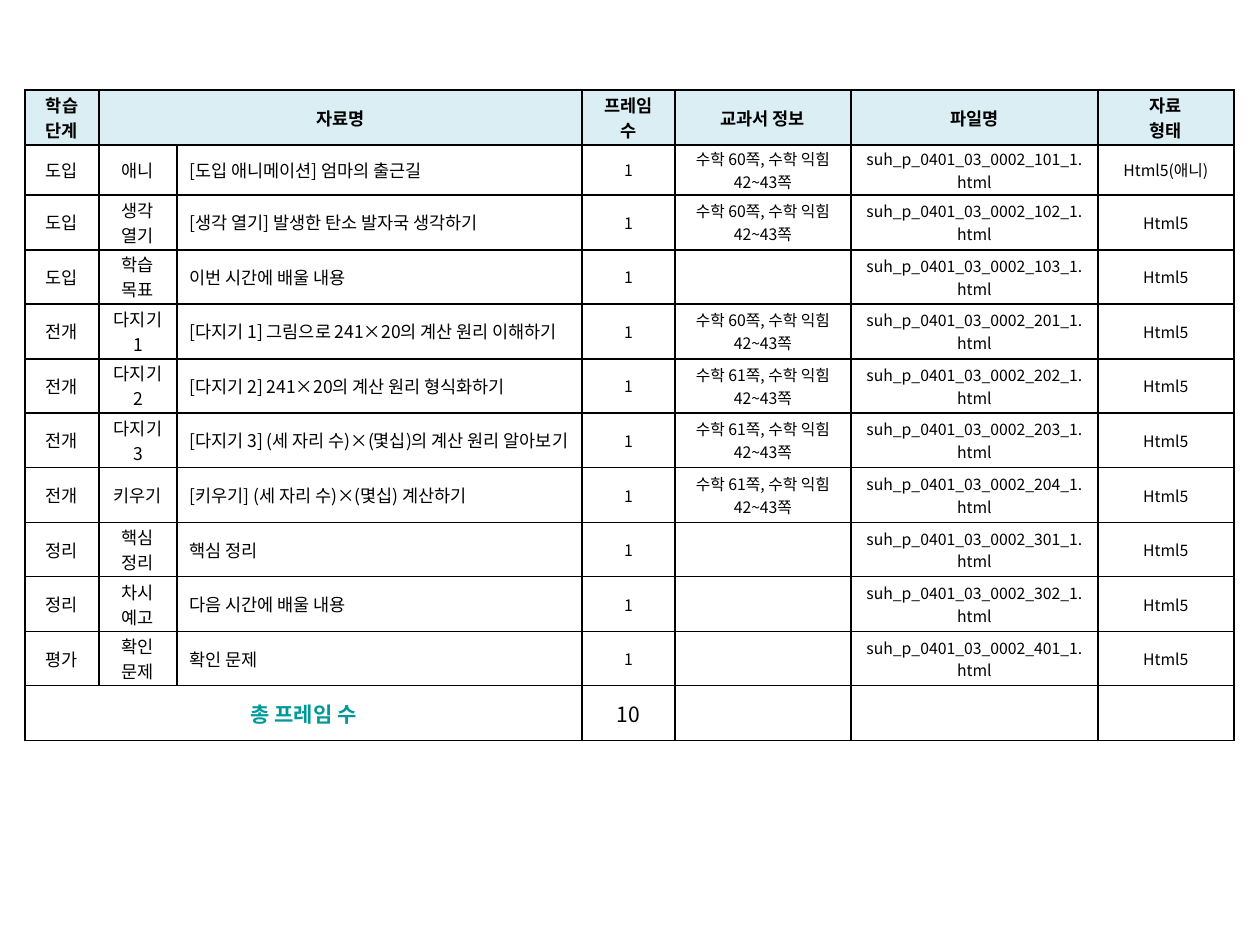
from dataclasses import dataclass

from lxml import etree
from pptx import Presentation
from pptx import util as u
from pptx.dml import color
from pptx.enum import text
from pptx.oxml import ns

SCALE = 914400 // 126
FONT = "Noto Sans CJK KR"
COLORS = {"ink": "000000", "header": "DBEEF4", "total": "009999"}
LEFT, TOP = 25, 90
COLUMN_WIDTHS = [74, 78, 405, 93, 176, 247, 136]
ROW_HEIGHTS = [55, 50, 55, 54, 55, 54, 55, 55, 54, 55, 54, 55]
HEADINGS = ["학습 단계", "자료명", "", "프레임 수", "교과서 정보", "파일명", "자료\n형태"]
TITLE_COLUMN = 2


@dataclass(frozen=True)
class Style:
    size: int
    bold: bool = False
    ink: str = "ink"
    fill: str = ""
    align: text.PP_ALIGN = text.PP_ALIGN.CENTER


HEADER = Style(10, bold=True, fill="header")
LABEL = Style(10)
TITLE = Style(10, align=text.PP_ALIGN.LEFT)
DETAIL = Style(9)
TOTAL_LABEL = Style(12, bold=True, ink="total")
TOTAL_COUNT = Style(12)


@dataclass(frozen=True)
class Lesson:
    stage: str
    activity: str
    title: str
    book_page: int
    file_number: int
    kind: str = "Html5"

    def values(self) -> list[str]:
        book = f"수학 {self.book_page}쪽, 수학 익힘 42~43쪽" if self.book_page else ""
        file_name = f"suh_p_0401_03_0002_{self.file_number}_1.html"
        return [self.stage, self.activity, self.title, "1", book, file_name, self.kind]


LESSONS = [
    Lesson("도입", "애니", "[도입 애니메이션] 엄마의 출근길", 60, 101, "Html5(애니)"),
    Lesson("도입", "생각 열기", "[생각 열기] 발생한 탄소 발자국 생각하기", 60, 102),
    Lesson("도입", "학습 목표", "이번 시간에 배울 내용", 0, 103),
    Lesson("전개", "다지기 1", "[다지기 1] 그림으로 241×20의 계산 원리 이해하기", 60, 201),
    Lesson("전개", "다지기 2", "[다지기 2] 241×20의 계산 원리 형식화하기", 61, 202),
    Lesson("전개", "다지기 3", "[다지기 3] (세 자리 수)×(몇십)의 계산 원리 알아보기", 61, 203),
    Lesson("전개", "키우기", "[키우기] (세 자리 수)×(몇십) 계산하기", 61, 204),
    Lesson("정리", "핵심 정리", "핵심 정리", 0, 301),
    Lesson("정리", "차시 예고", "다음 시간에 배울 내용", 0, 302),
    Lesson("평가", "확인 문제", "확인 문제", 0, 401),
]


def px(value: int) -> u.Emu:
    return u.Emu(value * SCALE)


def add_borders(cell) -> None:
    """Draw a 1 pt line on all four sides of the cell."""
    properties = cell._tc.get_or_add_tcPr()
    for index, side in enumerate(("lnL", "lnR", "lnT", "lnB")):
        line = etree.Element(ns.qn(f"a:{side}"), w=str(u.Pt(1)))
        fill = etree.SubElement(line, ns.qn("a:solidFill"))
        etree.SubElement(fill, ns.qn("a:srgbClr"), val=COLORS["ink"])
        properties.insert(index, line)


def fill_cell(cell, words: str, style: Style) -> None:
    cell.text = words
    cell.vertical_anchor = text.MSO_ANCHOR.MIDDLE
    # Slim margins let two lines fit the row height.
    cell.margin_top = cell.margin_bottom = px(1)
    if style.fill:
        cell.fill.solid()
        cell.fill.fore_color.rgb = color.RGBColor.from_string(COLORS[style.fill])
    else:
        cell.fill.background()
    add_borders(cell)
    for para in cell.text_frame.paragraphs:
        para.alignment = style.align
        font = para.font
        font.name, font.size, font.bold = FONT, u.Pt(style.size), style.bold
        font.color.rgb = color.RGBColor.from_string(COLORS[style.ink])


def fill_row(table, row: int, values: list[str], styles: list[Style]) -> None:
    for column, (words, style) in enumerate(zip(values, styles)):
        fill_cell(table.cell(row, column), words, style)


def add_lesson_table(page) -> None:
    frame = page.shapes.add_table(
        len(ROW_HEIGHTS), len(COLUMN_WIDTHS), px(LEFT), px(TOP),
        px(sum(COLUMN_WIDTHS)), px(sum(ROW_HEIGHTS)),
    )
    table = frame.table
    table.first_row = table.horz_banding = False
    for column, width in zip(table.columns, COLUMN_WIDTHS):
        column.width = px(width)
    for row, height in zip(table.rows, ROW_HEIGHTS):
        row.height = px(height)

    last = len(ROW_HEIGHTS) - 1
    fill_row(table, 0, HEADINGS, [HEADER] * len(HEADINGS))
    for row, lesson in enumerate(LESSONS, start=1):
        fill_row(table, row, lesson.values(), [LABEL, LABEL, TITLE] + [DETAIL] * 4)
    fill_row(table, last, ["총 프레임 수", "", "", str(len(LESSONS)), "", "", ""],
             [TOTAL_LABEL] * 3 + [TOTAL_COUNT] + [DETAIL] * 3)
    table.cell(0, 1).merge(table.cell(0, TITLE_COLUMN))
    table.cell(last, 0).merge(table.cell(last, TITLE_COLUMN))


def main() -> None:
    deck = Presentation()
    deck.slide_width, deck.slide_height = u.Inches(10), u.Inches(7.5)
    page = deck.slides.add_slide(deck.slide_layouts[6])
    add_lesson_table(page)
    deck.save("out.pptx")


if __name__ == "__main__":
    main()
